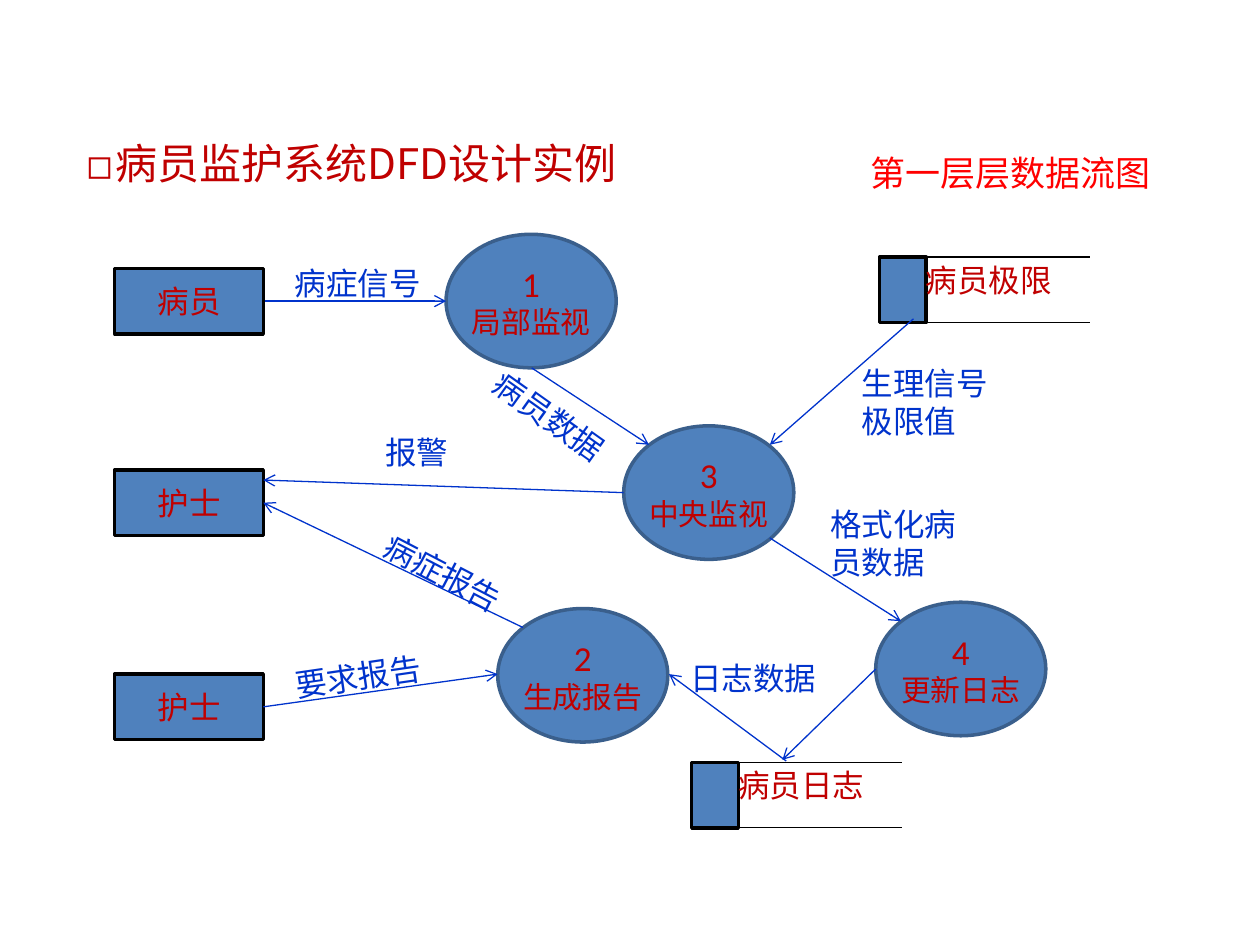
from dataclasses import dataclass

from lxml import etree
from pptx import Presentation
from pptx.dml.color import RGBColor
from pptx.enum.shapes import MSO_CONNECTOR, MSO_SHAPE
from pptx.enum.text import MSO_ANCHOR, MSO_AUTO_SIZE, PP_ALIGN
from pptx.oxml.ns import qn
from pptx.shapes.autoshape import Shape
from pptx.slide import Slide
from pptx.util import Inches, Pt

RECTANGLE, ELLIPSE = MSO_SHAPE.RECTANGLE, MSO_SHAPE.OVAL
STRAIGHT = MSO_CONNECTOR.STRAIGHT
CENTER, MIDDLE = PP_ALIGN.CENTER, MSO_ANCHOR.MIDDLE
GROW = MSO_AUTO_SIZE.SHAPE_TO_FIT_TEXT

FILL_BLUE = RGBColor(0x4F, 0x81, 0xBD)
RIM_BLUE = RGBColor(0x3A, 0x5F, 0x8C)
FLOW_BLUE = RGBColor(0x00, 0x33, 0xCC)
DARK_RED = RGBColor(0xC0, 0x00, 0x00)
RED = RGBColor(0xFF, 0x00, 0x00)
BLACK = RGBColor(0x00, 0x00, 0x00)

FONT, TITLE_FONT = "Calibri", "Noto Sans CJK SC"

# The slide is a grid of 100 columns and 75 rows
SLIDE_WIDTH, SLIDE_HEIGHT = Inches(10), Inches(7.5)
COLUMN, ROW = SLIDE_WIDTH / 100, SLIDE_HEIGHT / 75

ENTITY_SIZE = (11.8, 5.2)
PROCESS_SIZE = (13.5, 10.6)
STORE_SIZE = (3.7, 5.2)


@dataclass(frozen=True)
class Node:
    """An external entity, process or data store, placed by its top left."""
    column: float
    row: float
    name: str
    number: str = ""


@dataclass(frozen=True)
class Flow:
    start: tuple[float, float]
    end: tuple[float, float]


@dataclass(frozen=True)
class Label:
    column: float
    row: float
    text: str
    width: float = 14.2
    height: float = 3.7
    rotation: float = 0
    size: int = 18
    color: RGBColor = FLOW_BLUE


ENTITIES = [Node(9.1, 21.3, "病员"), Node(9.1, 37.3, "护士"), Node(9.1, 53.5, "护士")]
PROCESSES = [
    Node(35.4, 18.6, "局部监视", "1"),
    Node(39.5, 48.3, "生成报告", "2"),
    Node(49.5, 33.8, "中央监视", "3"),
    Node(69.5, 47.8, "更新日志", "4"),
]
STORES = [Node(69.8, 20.4, "病员极限"), Node(54.9, 60.5, "病员日志")]
FLOWS = [
    Flow((21, 23.9), (35.4, 23.9)),
    Flow((20.9, 56.1), (39.5, 53.5)),
    Flow((41.5, 49.8), (20.9, 39.9)),
    Flow((42.2, 29.2), (51.5, 35.3)),
    Flow((72.5, 25.3), (61.1, 35.3)),
    Flow((61.1, 42.7), (71.5, 49.3)),
    Flow((69.5, 53.1), (62.1, 60.3)),
    Flow((62.4, 60.4), (53.1, 53.5)),
    Flow((49.5, 39.1), (20.9, 38.1)),
]
LABELS = [
    Label(68.1, 11.5, "第一层层数据流图", 24.7, 4.4, size=20, color=RED),
    Label(22.4, 20.5, "病症信号", height=4.7),
    Label(29.1, 44, "病症报告", rotation=27.5),
    Label(22.4, 51.5, "要求报告", rotation=351.6),
    Label(37.5, 31.7, "病员数据", rotation=35.4),
    Label(67.4, 28.4, "生理信号极限值", height=6.5),
    Label(64.9, 39.6, "格式化病员数据", height=6.5),
    Label(53.8, 51.8, "日志数据"),
    Label(29.6, 33.9, "报警", height=4),
]


def place(column: float, row: float) -> tuple[int, int]:
    return round(column * COLUMN), round(row * ROW)


def add_node_shape(slide: Slide, kind: MSO_SHAPE, node: Node,
                   size: tuple[float, float], rim: RGBColor) -> Shape:
    shape = slide.shapes.add_shape(kind, *place(node.column, node.row), *place(*size))
    shape.shadow.inherit = False
    shape.fill.solid()
    shape.fill.fore_color.rgb = FILL_BLUE
    shape.line.color.rgb = rim
    shape.line.width = Pt(2)
    return shape


def write_centered(shape: Shape, lines: list[tuple[str, int]]) -> None:
    frame = shape.text_frame
    frame.vertical_anchor = MIDDLE
    frame.text = "\n".join(text for text, _ in lines)
    for paragraph, (_, size) in zip(frame.paragraphs, lines):
        paragraph.alignment = CENTER
        paragraph.font.name = FONT
        paragraph.font.size = Pt(size)
        paragraph.font.color.rgb = DARK_RED


def add_line(slide: Slide, flow: Flow, color: RGBColor, arrow: bool) -> None:
    connector = slide.shapes.add_connector(STRAIGHT, *place(*flow.start), *place(*flow.end))
    connector.line.color.rgb = color
    connector.line.width = Pt(0.75)
    if arrow:
        etree.SubElement(connector.line._get_or_add_ln(), qn("a:tailEnd"), type="arrow")
    etree.SubElement(connector._element.spPr, qn("a:effectLst"))


def add_label(slide: Slide, label: Label) -> None:
    box = slide.shapes.add_textbox(*place(label.column, label.row),
                                   *place(label.width, label.height))
    box.rotation = label.rotation
    frame = box.text_frame
    frame.word_wrap = True
    frame.auto_size = GROW
    frame.text = label.text
    font = frame.paragraphs[0].font
    font.name, font.size = FONT, Pt(label.size)
    font.color.rgb = label.color


def add_title(slide: Slide) -> None:
    box = slide.shapes.add_textbox(*place(5.9, 10.4), *place(46.3, 6.4))
    frame = box.text_frame
    frame.word_wrap = False
    frame.text = "病员监护系统DFD设计实例"
    paragraph = frame.paragraphs[0]
    # Hollow square bullet with a hanging indent
    properties = paragraph._p.get_or_add_pPr()
    indent = round(2.3 * COLUMN)
    properties.set("marL", str(indent))
    properties.set("indent", str(-indent))
    etree.SubElement(properties, qn("a:buSzPts"), val="2000")
    etree.SubElement(properties, qn("a:buFont"), typeface=TITLE_FONT)
    etree.SubElement(properties, qn("a:buChar"), char="◻")
    paragraph.font.name = TITLE_FONT
    paragraph.font.size = Pt(24)
    paragraph.font.color.rgb = DARK_RED


def add_process(slide: Slide, node: Node) -> None:
    shape = add_node_shape(slide, ELLIPSE, node, PROCESS_SIZE, RIM_BLUE)
    shape.text_frame.margin_left = shape.text_frame.margin_right = 0
    write_centered(shape, [(node.number, 20), (node.name, 17)])


def add_store(slide: Slide, node: Node) -> None:
    add_node_shape(slide, RECTANGLE, node, STORE_SIZE, BLACK)
    left, right = node.column + 2.7, node.column + 16.7
    for row in (node.row, node.row + STORE_SIZE[1]):
        add_line(slide, Flow((left, row), (right, row)), BLACK, arrow=False)
    add_label(slide, Label(left, node.row - 0.2, node.name, 15.3, color=DARK_RED))


def main() -> None:
    presentation = Presentation()
    presentation.slide_width, presentation.slide_height = SLIDE_WIDTH, SLIDE_HEIGHT
    slide = presentation.slides.add_slide(presentation.slide_layouts[6])

    add_title(slide)

    # Entities, processes and data stores
    for entity in ENTITIES:
        shape = add_node_shape(slide, RECTANGLE, entity, ENTITY_SIZE, BLACK)
        write_centered(shape, [(entity.name, 18)])
    for process in PROCESSES:
        add_process(slide, process)
    for store in STORES:
        add_store(slide, store)

    # Data flows and their names
    for flow in FLOWS:
        add_line(slide, flow, FLOW_BLUE, arrow=True)
    for label in LABELS:
        add_label(slide, label)

    presentation.save("out.pptx")


if __name__ == "__main__":
    main()
